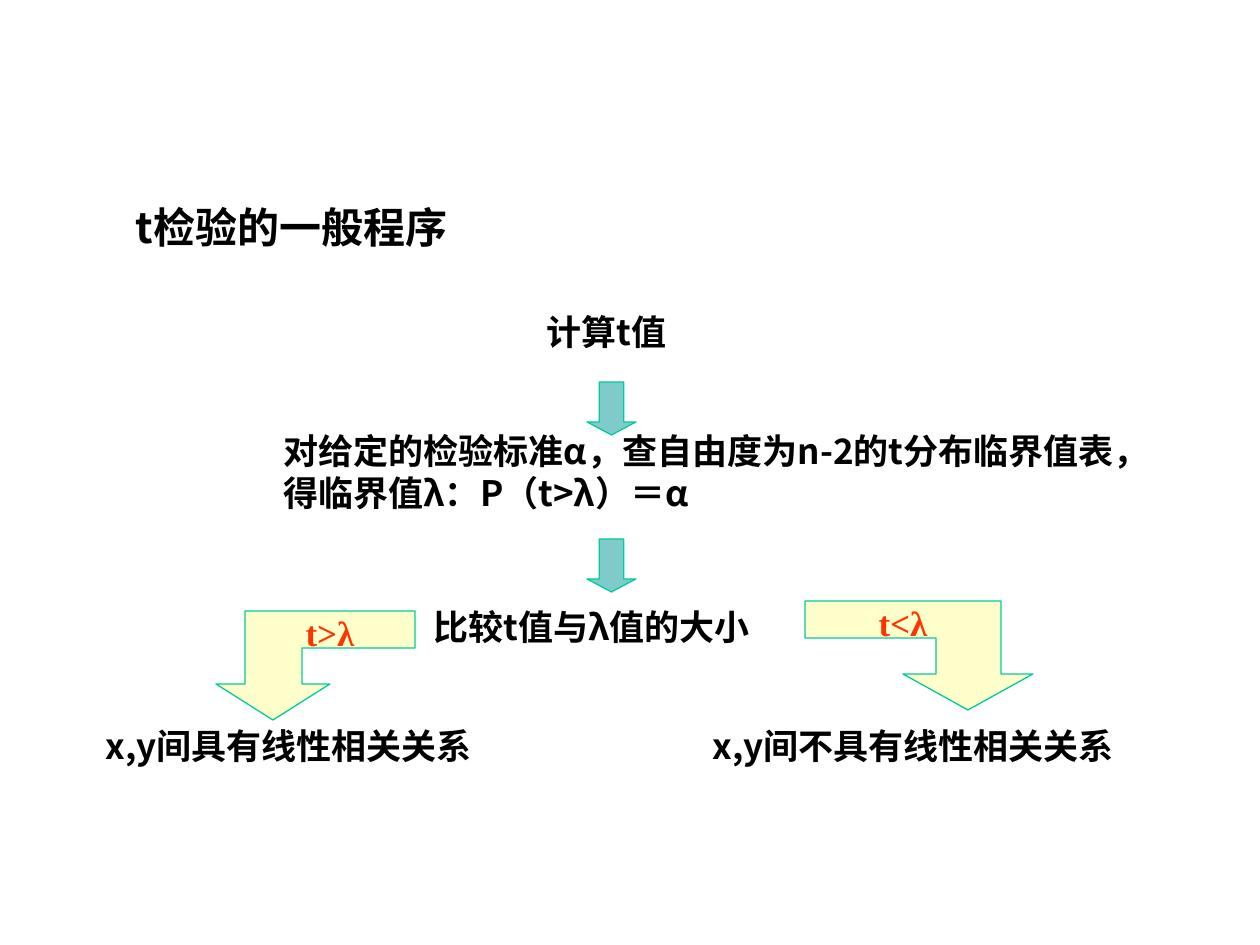
from dataclasses import dataclass

from lxml.etree import SubElement
from pptx import Presentation
from pptx.dml.color import RGBColor
from pptx.enum.shapes import MSO_SHAPE
from pptx.enum.text import MSO_ANCHOR, PP_ALIGN
from pptx.oxml.ns import qn
from pptx.util import Pt

PX = 914400 / 126


@dataclass(frozen=True)
class Theme:
    ink: str = "000000"
    condition: str = "FF3300"
    step_fill: str = "009999"
    branch_fill: str = "FFFF99"
    outline: str = "00CC99"
    font: str = "Noto Sans CJK SC"
    condition_font: str = "Times New Roman"
    title_size: int = 24
    body_size: int = 20


theme = Theme()


def write(frame, text, size, font, color, align=PP_ALIGN.LEFT):
    frame.text = text
    frame.word_wrap = True
    frame.vertical_anchor = MSO_ANCHOR.TOP
    paragraph = frame.paragraphs[0]
    paragraph.alignment = align
    paragraph.line_spacing = Pt(size * 1.2)
    paragraph.font.size = Pt(size)
    paragraph.font.bold = True
    paragraph.font.color.rgb = RGBColor.from_string(color)
    paragraph.font.name = font
    # East Asian characters take their own typeface
    defaults = paragraph._p.pPr.find(qn("a:defRPr"))
    SubElement(defaults, qn("a:ea")).set("typeface", font)


def paint(arrow, fill):
    arrow.shadow.inherit = False
    arrow.fill.solid()
    arrow.fill.fore_color.rgb = RGBColor.from_string(fill)
    color = arrow._element.spPr.find(qn("a:solidFill"))[0]
    SubElement(color, qn("a:alpha")).set("val", "50000")
    arrow.line.color.rgb = RGBColor.from_string(theme.outline)
    arrow.line.width = Pt(0.75)


deck = Presentation()
deck.slide_width, deck.slide_height = round(1260 * PX), round(945 * PX)
slide = deck.slides.add_slide(deck.slide_layouts[5])

# Title
title = slide.shapes.title
title.left, title.top, title.width, title.height = (
    round(v * PX) for v in (123, 195, 400, 63))
write(title.text_frame, "t检验的一般程序", theme.title_size, theme.font, theme.ink)

# Steps and conclusions: left, top, width, height, wording
statements = [
    (534, 304, 199, 55, "计算t值"),
    (271, 423, 882, 97, "对给定的检验标准α，查自由度为n-2的t分布临界值表，得临界值λ：P（t>λ）＝α"),
    (421, 599, 383, 55, "比较t值与λ值的大小"),
    (93, 718, 473, 55, "x,y间具有线性相关关系"),
    (700, 718, 525, 55, "x,y间不具有线性相关关系"),
]
for *place, wording in statements:
    statement = slide.shapes.add_textbox(*(round(v * PX) for v in place))
    write(statement.text_frame, wording, theme.body_size, theme.font, theme.ink)

# Arrows between the steps
for top in (382, 539):
    step_arrow = slide.shapes.add_shape(
        MSO_SHAPE.DOWN_ARROW, *(round(v * PX) for v in (587, top, 49, 53)))
    step_arrow.adjustments[1] = 0.266
    paint(step_arrow, theme.step_fill)

# Bent arrows: tail, outer and inner stem, outer and inner head, top, wording
branches = [
    (415, 245, 302, 216, 330, 611, "t>λ"),
    (805, 1001, 936, 1033, 903, 601, "t<λ"),
]
for tail, outer, inner, head_outer, head_inner, top, condition in branches:
    elbow, neck, tip = top + 37, top + 73, top + 109
    outline = slide.shapes.build_freeform(tail, top, scale=PX)
    outline.add_line_segments([
        (outer, top), (outer, neck), (head_outer, neck),
        ((head_outer + head_inner) / 2, tip), (head_inner, neck),
        (inner, neck), (inner, elbow), (tail, elbow)], close=True)
    branch = outline.convert_to_shape()
    paint(branch, theme.branch_fill)
    # The condition sits in the horizontal bar, centred between tail and stem
    frame = branch.text_frame
    write(frame, condition, theme.body_size, theme.condition_font,
          theme.condition, PP_ALIGN.CENTER)
    frame.margin_top = frame.margin_bottom = 0
    overhang = round(abs(head_outer - outer) * PX)
    frame.margin_left = overhang if outer < tail else 0
    frame.margin_right = overhang if outer > tail else 0

deck.save("out.pptx")
